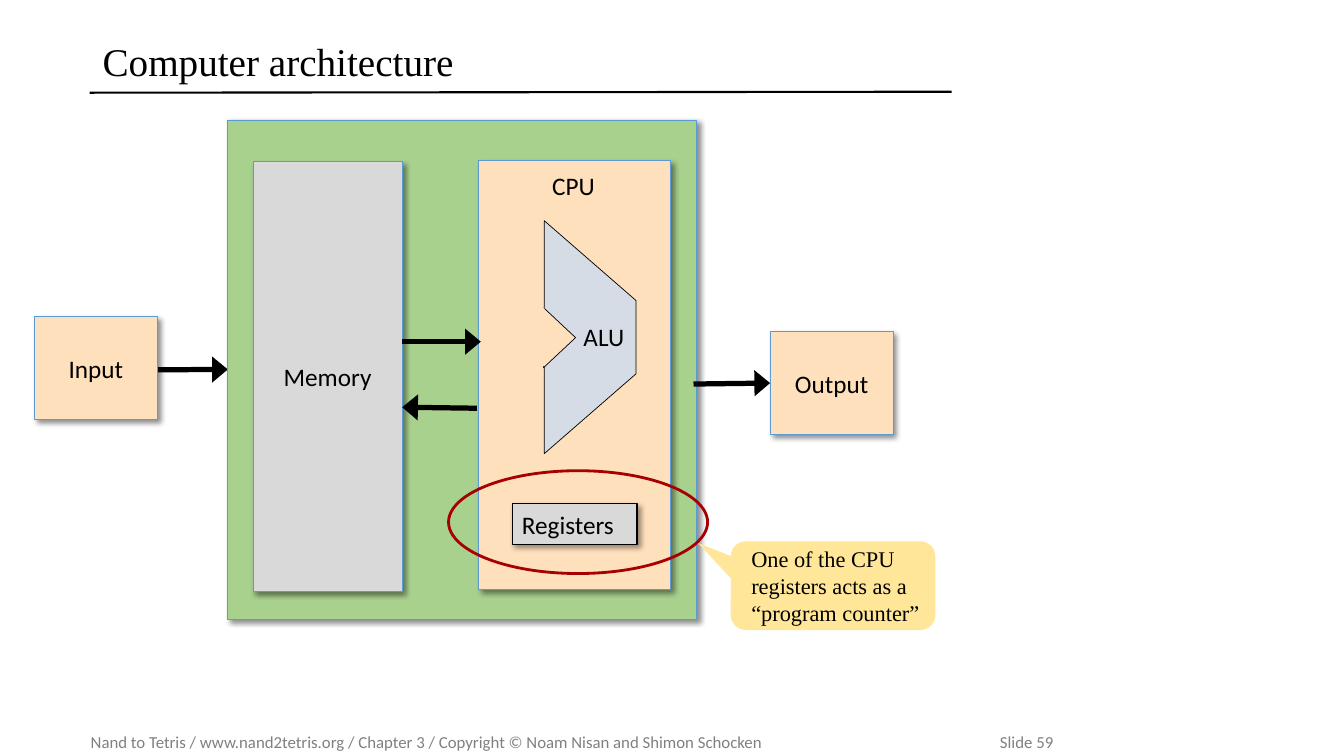
"""Build the computer architecture slide on a grid of tenth-of-an-inch cells."""
from lxml import etree
from pptx import Presentation
from pptx import util as u
from pptx.dml.color import RGBColor
from pptx.enum import shapes, text
from pptx.oxml.ns import qn

CELL = u.Inches(0.1)
COLUMNS, ROWS = 133.33, 75
COLORS = {
    "black": "000000", "footer": "808080", "edge": "5B9BD5", "unit": "FFE0BC",
    "computer": "A9D18E", "memory": "D9D9D9", "alu": "D6DCE5",
    "highlight": "A70000", "callout": "FFE699",
}
SANS, SERIF = "Calibri", "Times New Roman"
PRESET = shapes.MSO_SHAPE
LEFT, CENTER = text.PP_ALIGN.LEFT, text.PP_ALIGN.CENTER
TOP, MIDDLE = text.MSO_ANCHOR.TOP, text.MSO_ANCHOR.MIDDLE
LEFT_SIDE = 1


def color(name):
    return RGBColor.from_string(COLORS[name])


def cells(*counts):
    return [round(count * CELL) for count in counts]


def write(shape, content, size=18, font=SANS, ink="black", align=LEFT,
          anchor=MIDDLE, insets=(1, 0.5, 1, 0.5), tab=None):
    frame = shape.text_frame
    frame.word_wrap = True
    frame.vertical_anchor = anchor
    (frame.margin_left, frame.margin_top,
     frame.margin_right, frame.margin_bottom) = cells(*insets)
    paragraph = frame.paragraphs[0]
    paragraph.text = content
    paragraph.alignment = align
    if tab:
        tabs = etree.SubElement(paragraph._p.get_or_add_pPr(), qn("a:tabLst"))
        etree.SubElement(tabs, qn("a:tab"), pos=str(cells(tab)[0]), algn="l")
    paragraph.font.size = u.Pt(size)
    paragraph.font.name = font
    paragraph.font.color.rgb = color(ink)
    return paragraph


def add_label(parent, box, content, **style):
    return write(parent.add_textbox(*cells(*box)), content, **style)


def add_figure(parent, preset, box, fill=None, line=None, width=0.5,
               rotation=0, adjustments=()):
    shape = parent.add_shape(preset, *cells(*box))
    shape.shadow.inherit = False
    shape.rotation = rotation
    for index, value in enumerate(adjustments):
        shape.adjustments[index] = value
    if fill:
        shape.fill.solid()
        shape.fill.fore_color.rgb = color(fill)
    else:
        shape.fill.background()
    if line:
        shape.line.color.rgb = color(line)
        shape.line.width = u.Pt(width)
    else:
        shape.line.fill.background()
    return shape


def add_block(parent, box, fill, content=None, line="edge", width=0.5,
              opacity=43, **style):
    shape = add_figure(parent, PRESET.RECTANGLE, box, fill, line, width)
    effects = shape._element.spPr.find(qn("a:effectLst"))
    shadow = etree.SubElement(
        effects, qn("a:outerShdw"), blurRad=str(u.Pt(4)), dist=str(u.Pt(3)),
        dir=str(45 * 60000), algn="tl", rotWithShape="0")
    tint = etree.SubElement(shadow, qn("a:srgbClr"), val=COLORS["black"])
    etree.SubElement(tint, qn("a:alpha"), val=str(opacity * 1000))
    if content:
        write(shape, content, **{"align": CENTER, **style})
    return shape


def add_line(parent, start, end, width=3.75, arrow=True):
    connector = parent.add_connector(
        shapes.MSO_CONNECTOR.STRAIGHT, *cells(*start, *end))
    connector.line.color.rgb = color("black")
    connector.line.width = u.Pt(width)
    properties = connector._element.spPr
    if arrow:
        etree.SubElement(properties.find(qn("a:ln")), qn("a:tailEnd"),
                         type="triangle", w="lg", len="med")
    etree.SubElement(properties, qn("a:effectLst"))
    return connector


def add_alu(parent):
    group = parent.add_group_shape().shapes
    add_figure(group, PRESET.TRAPEZOID, (47, 28.9, 23.1, 9.1), "alu", "black",
               rotation=90, adjustments=[0.87])
    add_label(group, (56.9, 31.4, 6.4, 4), "ALU", anchor=TOP)
    add_figure(group, PRESET.ISOSCELES_TRIANGLE, (52.5, 31.9, 6, 3.2), "unit",
               "black", rotation=90)
    add_figure(group, PRESET.RECTANGLE, (52.7, 30.5, 1.3, 5.8), "unit")
    add_figure(group, PRESET.RECTANGLE, (52.6, 28, 1.3, 9.3), "unit")


def add_register_note(parent):
    group = parent.add_group_shape().shapes
    add_figure(group, PRESET.OVAL, (44.5, 46.7, 25.7, 10.2),
               line="highlight", width=2)
    callout = add_figure(group, PRESET.ROUNDED_RECTANGULAR_CALLOUT,
                         (72.5, 53.7, 20.3, 8.8), "callout",
                         adjustments=[-0.66, -0.48, 0.17])
    write(callout, "One of the CPU registers acts as a “program counter”",
          size=16, font=SERIF, insets=(1.6, 0.5, 0, 0.5))


def main():
    presentation = Presentation()
    presentation.slide_width, presentation.slide_height = cells(COLUMNS, ROWS)
    slide = presentation.slides.add_slide(presentation.slide_layouts[6])
    parent = slide.shapes

    add_label(parent, (9, 72.1, 122.5, 3),
              "Nand to Tetris / www.nand2tetris.org / Chapter 3 / "
              "Copyright © Noam Nisan and Shimon Schocken\tSlide 59",
              size=12, ink="footer", insets=(0, 0.5, 0, 0.5), tab=90.2)
    add_line(parent, (8.9, 9.2), (94.4, 9.1), width=1.5, arrow=False)

    input_arrow = add_line(parent, (13.1, 36.7), (22.6, 36.6))
    add_block(parent, (3.4, 31.4, 12.2, 10.2), "unit", "Input")
    computer = add_block(parent, (22.6, 11.9, 46.5, 49.5), "computer")
    input_arrow.end_connect(computer, LEFT_SIDE)
    add_block(parent, (47.5, 15.9, 19, 42.6), "unit")
    title = add_label(parent, (9.2, 3.2, 85.3, 6.3), "Computer architecture",
                      size=28, font=SERIF)
    title.line_spacing = 0.9
    add_block(parent, (25.1, 16, 14.8, 42.7), "memory", "Memory")
    output = add_block(parent, (76.4, 32.9, 12.2, 10.2), "unit", "Output")
    add_label(parent, (53.8, 16.4, 6.7, 4), "CPU", anchor=TOP)
    add_block(parent, (50.8, 50, 12.4, 4), "memory", "Registers", line="black",
              width=0.75, opacity=40, align=LEFT, anchor=TOP)

    add_line(parent, (39.9, 33.9), (47.7, 33.9))
    add_line(parent, (47.3, 40.5), (39.9, 40.4))
    output_arrow = add_line(parent, (68.8, 38.1), (76.1, 37.9))
    output_arrow.end_connect(output, LEFT_SIDE)

    add_alu(parent)
    add_register_note(parent)
    presentation.save("out.pptx")


if __name__ == "__main__":
    main()
